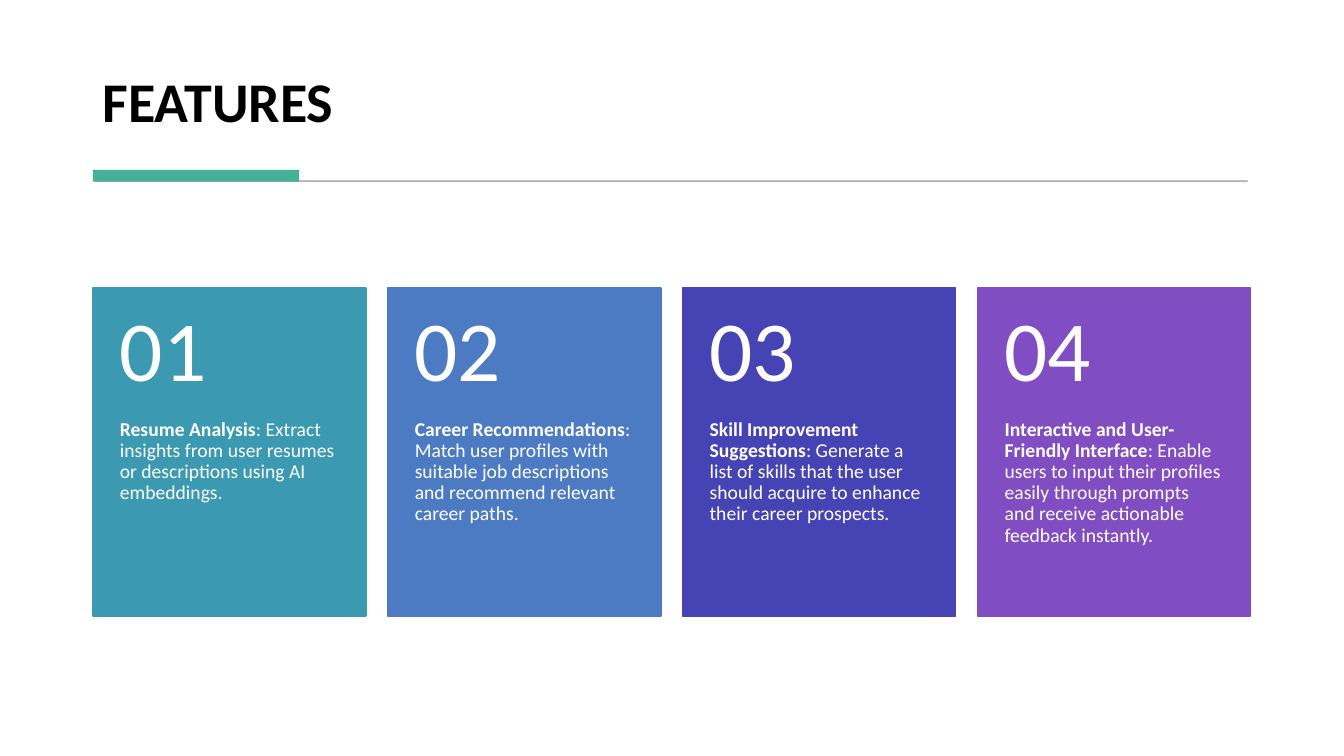
from lxml.etree import SubElement
from pptx import Presentation
from pptx.dml.color import RGBColor
from pptx.enum.shapes import MSO_SHAPE
from pptx.enum.text import MSO_ANCHOR, PP_ALIGN
from pptx.oxml.ns import qn
from pptx.util import Cm, Pt

FONT = "Calibri"
COLORS = {
    "title": "000000",
    "rule": "595959",
    "accent": "45B199",
    "card_text": "FFFFFF",
    "teal": "3B9AB1",
    "blue": "4D7BC3",
    "indigo": "4643B5",
    "purple": "814DC3",
}
FEATURES = [
    ("teal", "Resume Analysis",
     ": Extract insights from user resumes or descriptions using AI embeddings."),
    ("blue", "Career Recommendations",
     ": Match user profiles with suitable job descriptions and recommend "
     "relevant career paths."),
    ("indigo", "Skill Improvement Suggestions",
     ": Generate a list of skills that the user should acquire to enhance "
     "their career prospects."),
    ("purple", "Interactive and User-Friendly Interface",
     ": Enable users to input their profiles easily through prompts and "
     "receive actionable feedback instantly."),
]


def rgb(name):
    return RGBColor.from_string(COLORS[name])


def add_rect(shapes, box, color, line_width=None):
    sp = shapes.add_shape(MSO_SHAPE.RECTANGLE, *map(Cm, box))
    sp.shadow.inherit = False
    sp.fill.solid()
    sp.fill.fore_color.rgb = rgb(color)
    if line_width is None:
        sp.line.fill.background()
    else:
        sp.line.color.rgb = rgb(color)
        sp.line.width = Pt(line_width)
    return sp


def set_opacity(sp, percent):
    """Make the fill and the outline of a shape translucent."""
    for clr in sp.element.spPr.iter(qn("a:srgbClr")):
        SubElement(clr, qn("a:alpha"), val=str(percent * 1000))


def add_text(shapes, box, runs, size, color, anchor, insets):
    """Add one paragraph made of (text, bold) runs."""
    tf = shapes.add_textbox(*map(Cm, box)).text_frame
    tf.word_wrap = True
    tf.vertical_anchor = anchor
    tf.margin_left, tf.margin_top, tf.margin_right, tf.margin_bottom = map(Cm, insets)
    p = tf.paragraphs[0]
    p.alignment = PP_ALIGN.LEFT
    p.line_spacing = 0.9
    for text, bold in runs:
        r = p.add_run()
        r.text = text
        r.font.name = FONT
        r.font.size = Pt(size)
        r.font.bold = bold
        r.font.color.rgb = rgb(color)


def add_header(shapes, box, title):
    left, top, width, height = box
    add_text(shapes, (left, top, width, 2.82), [(title, True)], 40, "title",
             MSO_ANCHOR.BOTTOM, (0.25, 0.13, 0.25, 0.13))
    bottom = top + height
    rule = add_rect(shapes, (left + 0.07, bottom - 0.03, width - 0.15, 0.03), "rule", 0.75)
    set_opacity(rule, 30)
    add_rect(shapes, (left, bottom - 0.3, 5.2, 0.3), "accent")


def add_card(shapes, box, number, color, heading, detail):
    left, top, width, height = box
    number_height = 0.4 * height
    add_rect(shapes, box, color, 1)
    add_text(shapes, (left, top + number_height, width, height - number_height),
             [(heading, True), (detail, False)], 14, "card_text",
             MSO_ANCHOR.TOP, (0.68, 0, 0.68, 0.91))
    add_text(shapes, (left, top, width, number_height),
             [(f"{number:02d}", False)], 61, "card_text",
             MSO_ANCHOR.MIDDLE, (0.68, 0.46, 0.68, 0.46))


def add_cards(shapes, box, features, gap):
    left, top, width, height = box
    card_width = (width - gap * (len(features) - 1)) / len(features)
    for i, feature in enumerate(features):
        card_box = (left + i * (card_width + gap), top, card_width, height)
        add_card(shapes.add_group_shape().shapes, card_box, i + 1, *feature)


def main():
    prs = Presentation()
    prs.slide_width, prs.slide_height = Cm(33.87), Cm(19.05)
    s = prs.slides.add_slide(prs.slide_layouts[6])
    add_header(s.shapes, (2.34, 0.71, 29.18, 3.87), "FEATURES")
    add_cards(s.shapes, (2.34, 7.26, 29.18, 8.26), FEATURES, gap=0.55)
    prs.save("out.pptx")


if __name__ == "__main__":
    main()
